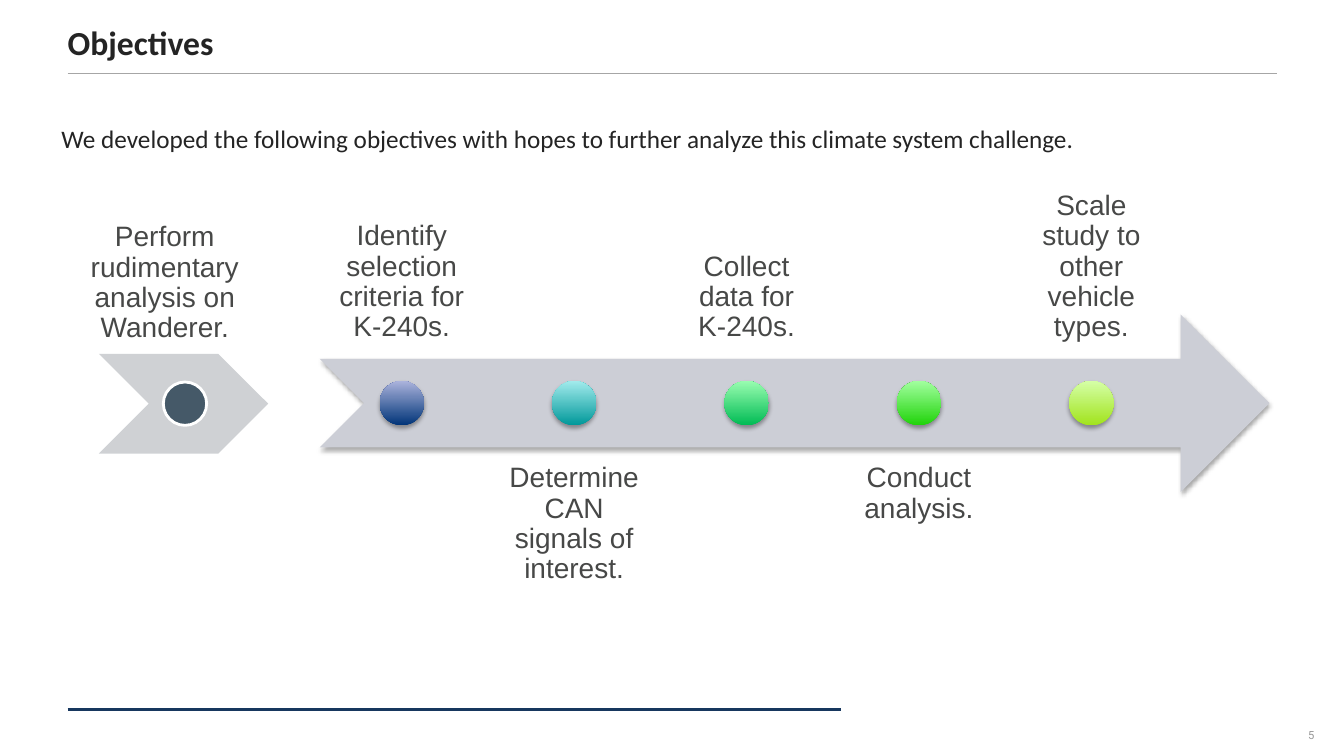
from lxml import etree
from pptx import Presentation, util as u
from pptx.dml import color
from pptx.enum import shapes, text
from pptx.oxml import ns

HUES = {
    "ink": "242424", "label": "474847", "page": "999999", "rule": "A6A6A6",
    "navy": "17375E", "arrow": "CCCED6", "chevron": "CFD1D4",
    "slate": "455968", "white": "FFFFFF", "black": "000000",
}
GOALS = [
    ("Identify selection criteria for K-240s.", "003478", "ABB3DC"),
    ("Determine CAN signals of interest.", "00989A", "A2EBEC"),
    ("Collect data for K-240s.", "00BB54", "99FDB0"),
    ("Conduct analysis.", "20D30A", "A2FF9F"),
    ("Scale study to other vehicle types.", "A1E31C", "D5FFA7"),
]
KIND = shapes.MSO_SHAPE
TOP, MID, LOW = (text.MSO_ANCHOR.TOP, text.MSO_ANCHOR.MIDDLE,
                 text.MSO_ANCHOR.BOTTOM)
LEFT, CENTER = text.PP_ALIGN.LEFT, text.PP_ALIGN.CENTER


def rgb(code):
    return color.RGBColor.from_string(code)


def apply(item, **looks):
    for name, value in looks.items():
        setattr(item, name, value)


def place(shape, box):
    sides = ("left", "top", "width", "height")
    apply(shape, **{k: u.Inches(v) for k, v in zip(sides, box)})


def write(shape, words, hue, size, face, pads, anchor=TOP, align=LEFT,
          bold=False, lines=1.0, after=0):
    frame = shape.text_frame
    apply(frame, word_wrap=True, auto_size=text.MSO_AUTO_SIZE.NONE,
          vertical_anchor=anchor)
    names = ("margin_left", "margin_top", "margin_right", "margin_bottom")
    apply(frame, **{k: u.Inches(v) for k, v in zip(names, pads)})
    para = frame.paragraphs[0]
    apply(para, alignment=align, line_spacing=lines,
          space_before=u.Pt(0), space_after=u.Pt(after))
    run = para.add_run()
    run.text = words
    apply(run.font, name=face, size=u.Pt(size), bold=bold)
    run.font.color.rgb = rgb(HUES[hue])
    return para


def draw(slide, kind, box, fill, edge=None, shade=False):
    shape = slide.shapes.add_shape(kind, *map(u.Inches, box))
    if isinstance(fill, tuple):
        shape.fill.gradient()
        shape.fill.gradient_angle = 90
        for stop, code in zip(shape.fill.gradient_stops, fill):
            stop.color.rgb = rgb(code)
    else:
        shape.fill.solid()
        shape.fill.fore_color.rgb = rgb(HUES[fill])
    if edge:
        shape.line.color.rgb = rgb(HUES[edge])
        shape.line.width = u.Pt(2)
    else:
        shape.line.fill.background()
    shape.shadow.inherit = False
    if shade:
        glow = shape.element.spPr.find(ns.qn("a:effectLst"))
        cast = etree.SubElement(glow, ns.qn("a:outerShdw"),
                                blurRad=str(u.Pt(3.1)), dist=str(u.Pt(1.8)),
                                dir="5400000", rotWithShape="0")
        tone = etree.SubElement(cast, ns.qn("a:srgbClr"), val=HUES["black"])
        etree.SubElement(tone, ns.qn("a:alpha"), val="35000")
    return shape


def rule(slide, x, y, width, hue, weight):
    line = slide.shapes.add_connector(
        shapes.MSO_CONNECTOR.STRAIGHT, *map(u.Inches, (x, y, x + width, y)))
    line.line.color.rgb = rgb(HUES[hue])
    line.line.width = u.Pt(weight)
    etree.SubElement(line.element.spPr, ns.qn("a:effectLst"))


def label(slide, box, words, anchor):
    note = slide.shapes.add_textbox(*map(u.Inches, box))
    write(note, words, "label", 20, "Arial", [0.16] * 4, anchor, CENTER,
          lines=0.9)


def header(slide, box):
    x, y, width, height = box
    rule(slide, x, y + 0.57, width, "rule", 1)
    place(slide.shapes.title, (x, y, width, height))
    write(slide.shapes.title, "Objectives", "ink", 24, "Calibri",
          (0, 0.05, 0.1, 0.05), LOW, bold=True)


def intro(slide, box):
    body = slide.placeholders[1]
    place(body, box)
    para = write(body, "We developed the following objectives with hopes to "
                 "further analyze this climate system challenge.",
                 "ink", 18, "Calibri", (0, 0.05, 0.1, 0.05), after=6)
    props = para._p.get_or_add_pPr()
    props.set("marL", "0")
    props.set("indent", "0")
    etree.SubElement(props, ns.qn("a:buNone"))


def first(slide, box):
    x, y, width, height = box
    draw(slide, KIND.CHEVRON, box, "chevron")
    label(slide, (x - 0.26, y - 1.67, 1.83, 1.73),
          "Perform rudimentary analysis on Wanderer.", LOW)
    dot = 0.43
    draw(slide, KIND.OVAL, (x + 0.64, y + (height - dot) / 2, dot, dot),
         "slate", "white")


def steps(slide, box):
    x, y, width, height = box
    draw(slide, KIND.NOTCHED_RIGHT_ARROW, box, "arrow", shade=True)
    wide, pitch, dot = 1.63, 1.71, 0.44
    for i, (words, *tones) in enumerate(GOALS):
        left = x + i * pitch
        below = i % 2
        top = y + 0.75 * height if below else y - 0.75 * height
        label(slide, (left, top, wide, height), words, TOP if below else LOW)
        draw(slide, KIND.OVAL, (left + (wide - dot) / 2,
                                y + (height - dot) / 2, dot, dot),
             tuple(tones), shade=True)


def footer(slide, box):
    x, y, width, height = box
    rule(slide, x, y, 7.67, "navy", 2.25)
    page = slide.shapes.add_textbox(
        *map(u.Inches, (x + width - 0.65, y + 0.05, 0.65, height)))
    write(page, "5", "page", 8, "Roboto", [0] * 4, MID, CENTER)


def main():
    deck = Presentation()
    apply(deck, slide_width=u.Inches(13.33), slide_height=u.Inches(7.5))
    slide = deck.slides.add_slide(deck.slide_layouts[1])
    header(slide, (0.67, 0.16, 12, 0.51))
    intro(slide, (0.61, 1.17, 12, 5.83))
    steps(slide, (3.17, 3.12, 9.42, 1.76))
    first(slide, (0.98, 3.51, 1.68, 0.99))
    footer(slide, (0.67, 7.04, 12.66, 0.4))
    deck.save("out.pptx")


if __name__ == "__main__":
    main()
